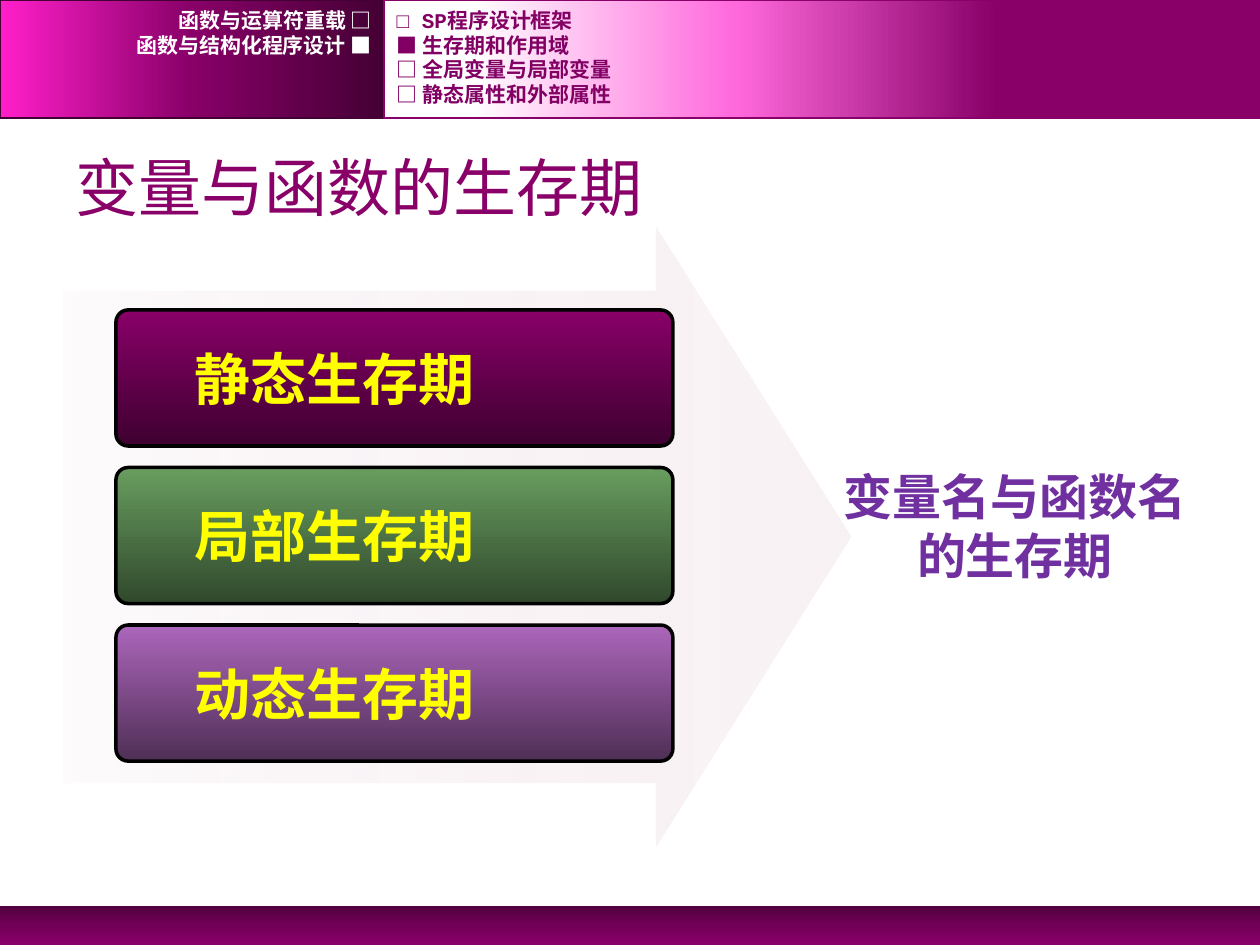
from lxml.etree import SubElement
from pptx import Presentation
from pptx.dml.color import RGBColor
from pptx.enum.shapes import MSO_SHAPE
from pptx.enum.text import MSO_ANCHOR, PP_ALIGN
from pptx.oxml.ns import qn
from pptx.util import Inches, Pt

COLORS = {
    "plum": "880068", "dark_plum": "440034", "magenta": "FF1FCA",
    "pink": "FF69DC", "white": "FFFFFF", "black": "000000",
    "footer_top": "51003E", "footer_mid": "730058",
    "arrow_tail": "F4E7ED", "arrow_head": "F9F2F5",
    "static_end": "3F0030", "green": "699D5F", "green_end": "30482C",
    "violet": "AC66BB", "violet_end": "4F2F56",
    "yellow": "FFFF00", "purple": "7030A0", "outline": "820064",
}
CJK = "Noto Sans CJK SC"

prs = Presentation()
prs.slide_width, prs.slide_height = Inches(10), Inches(7.5)
slide = prs.slides.add_slide(prs.slide_layouts[6])
# Positions count columns and rows of a 100 by 100 grid
COL, ROW = prs.slide_width / 100, prs.slide_height / 100


def add_panel(preset, cell, stops=(), angle=0, line=None, adjustments=()):
    """Add a shape; stops are (position %, colour name, opacity %)."""
    left, top, width, height = cell
    panel = slide.shapes.add_shape(preset, round(left * COL), round(top * ROW),
                                   round(width * COL), round(height * ROW))
    panel.shadow.inherit = False
    for index, value in enumerate(adjustments):
        panel.adjustments[index] = value
    if stops:
        panel.fill.gradient()
        gradient = panel._element.spPr.find(qn("a:gradFill"))
        for child in list(gradient):
            gradient.remove(child)
        stop_list = SubElement(gradient, qn("a:gsLst"))
        for position, color, opacity in stops:
            stop = SubElement(stop_list, qn("a:gs"), pos=str(position * 1000))
            rgb = SubElement(stop, qn("a:srgbClr"), val=COLORS[color])
            if opacity < 100:
                SubElement(rgb, qn("a:alpha"), val=str(opacity * 1000))
        SubElement(gradient, qn("a:lin"), ang=str(angle * 60000), scaled="0")
    else:
        panel.fill.background()
    if line:
        panel.line.color.rgb = RGBColor.from_string(COLORS[line[0]])
        panel.line.width = Pt(line[1])
    else:
        panel.line.fill.background()
    return panel


def write(holder, text, color, font, align=PP_ALIGN.LEFT, inset=0.05):
    frame = holder.text_frame
    layout = {"word_wrap": True, "vertical_anchor": MSO_ANCHOR.MIDDLE,
              "margin_top": Inches(inset), "margin_bottom": Inches(inset)}
    for name, value in layout.items():
        setattr(frame, name, value)
    paragraph = frame.paragraphs[0]
    paragraph.alignment = align
    run = paragraph.add_run()
    run.text = text
    for name, value in font.items():
        setattr(run.font, name, value)
    run.font.color.rgb = RGBColor.from_string(COLORS[color])
    SubElement(run._r.get_or_add_rPr(), qn("a:ea"), typeface=CJK)
    return paragraph


# Footer and header bands
add_panel(MSO_SHAPE.RECTANGLE, (0, 95.87, 100, 4.13),
          [(0, "footer_top", 100), (50, "footer_mid", 100), (100, "plum", 100)], 90)
SPLIT, HEADER = 30.5, 12.53
add_panel(MSO_SHAPE.RECTANGLE, (0, 0, SPLIT, HEADER),
          [(0, "dark_plum", 100), (50, "plum", 100), (100, "magenta", 100)],
          180, ("dark_plum", 1))
add_panel(MSO_SHAPE.RECTANGLE, (SPLIT, 0, 100 - SPLIT, HEADER),
          [(30, "plum", 100), (60, "pink", 100), (90, "white", 100)],
          180, ("plum", 1))

# Three lifetimes on an arrow that leads to the conclusion
add_panel(MSO_SHAPE.RIGHT_ARROW, (5, 24, 62.5, 65.6),
          [(0, "arrow_tail", 15), (100, "arrow_head", 100)],
          adjustments=(0.793, 0.315))
lifetimes = [("静态生存期", "plum", "static_end"),
             ("局部生存期", "green", "green_end"),
             ("动态生存期", "violet", "violet_end")]
for row, (lifetime, start, end) in enumerate(lifetimes):
    button = add_panel(MSO_SHAPE.ROUNDED_RECTANGLE,
                       (9.2, 32.8 + row * 16.67, 44.2, 14.4),
                       [(0, start, 100), (100, end, 100)], 90, ("black", 2), (0.09,))
    paragraph = write(button, lifetime, "yellow",
                      {"name": CJK, "size": Pt(32), "bold": True})
    paragraph.level = 1
    properties = paragraph._p.get_or_add_pPr()
    properties.set("marL", str(Inches(0.5)))
    properties.set("indent", "0")

conclusion = add_panel(MSO_SHAPE.ROUNDED_RECTANGLE, (65, 46.13, 31.1, 18.93),
                       adjustments=(0.09,))
write(conclusion, "变量名与函数名的生存期", "purple",
      {"name": CJK, "size": Pt(28), "bold": True}, PP_ALIGN.CENTER)

title = slide.shapes.add_textbox(round(5 * COL), round(14.53 * ROW),
                                 round(90 * COL), round(10.4 * ROW))
write(title, "变量与函数的生存期", "plum", {"name": "Arial", "size": Pt(36)})

# Chapter list on the left of the header, section list on the right
outlines = [
    (0, SPLIT, PP_ALIGN.RIGHT, "white",
     ["函数与运算符重载 □", "函数与结构化程序设计 ■"]),
    (SPLIT, 60.2, PP_ALIGN.LEFT, "outline",
     ["□ SP程序设计框架", "■ 生存期和作用域",
      "□ 全局变量与局部变量", "□ 静态属性和外部属性"]),
]
for left, width, align, color, entries in outlines:
    for row, entry in enumerate(entries):
        outline = slide.shapes.add_textbox(
            round(left * COL), round((0.8 + row * 2.62) * ROW),
            round(width * COL), round(2.62 * ROW))
        write(outline, entry, color,
              {"name": "Courier New", "size": Pt(12), "bold": True}, align, 0)

prs.save("out.pptx")
